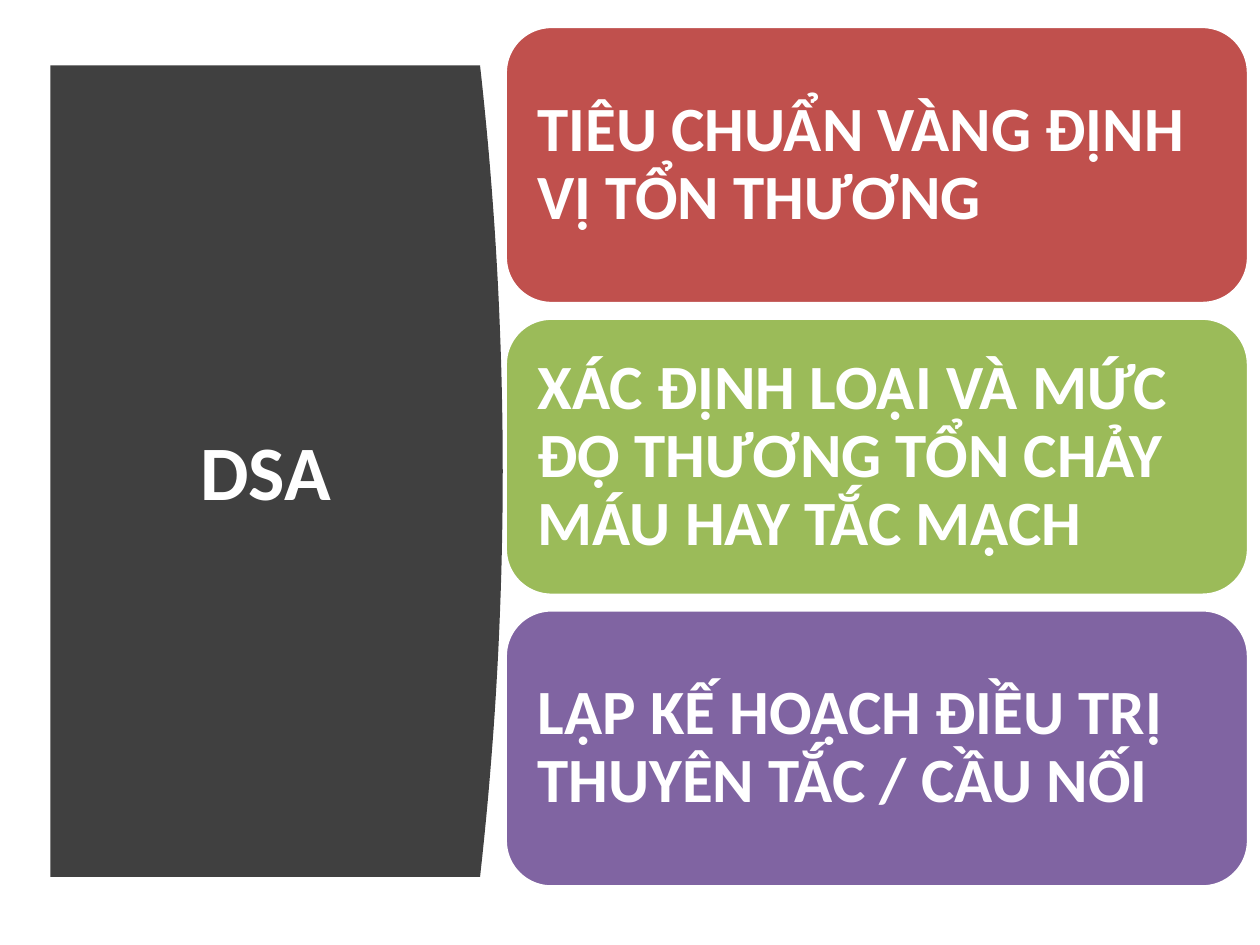
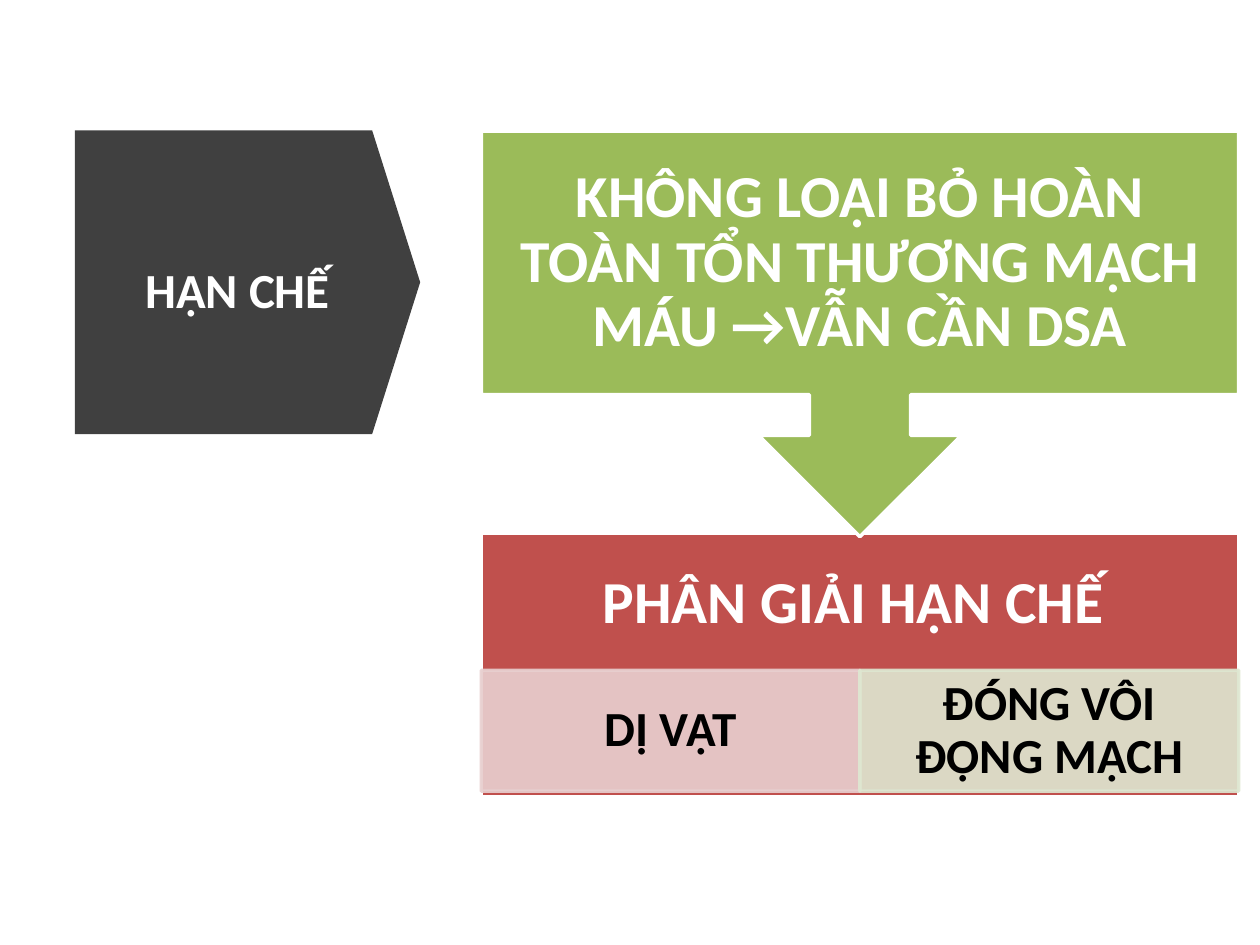
from dataclasses import dataclass

from lxml import etree
from pptx import Presentation
from pptx import util as u
from pptx.dml.color import RGBColor
from pptx.enum import shapes, text
from pptx.oxml.ns import qn


@dataclass(frozen=True)
class Theme:
    font: str = "Calibri"
    dark: str = "404040"
    white: str = "FFFFFF"
    black: str = "000000"
    red: str = "C0504D"
    green: str = "9BBB59"
    purple: str = "8064A2"
    pale_red: str = "E8D0D0"
    pale_green: str = "DEE7D1"
    title: int = 44
    point: int = 36
    box: int = 34
    small: int = 28
    outline: int = 2
    spacing: float = 0.9


T = Theme()
CENTER = text.PP_ALIGN.CENTER
LEFT = text.PP_ALIGN.LEFT


def set_all(obj, values):
    for name, value in values.items():
        setattr(obj, name, value)


def rgb(color):
    return RGBColor.from_string(color)


def write(sp, words, size, color=T.white, align=CENTER, insets=(0.1, 0.05, 0.1, 0.05), spacing=T.spacing):
    tf = sp.text_frame
    left, top, right, bottom = map(u.Inches, insets)
    set_all(tf, {
        "word_wrap": True,
        "auto_size": text.MSO_AUTO_SIZE.NONE,
        "vertical_anchor": text.MSO_ANCHOR.MIDDLE,
        "margin_left": left,
        "margin_top": top,
        "margin_right": right,
        "margin_bottom": bottom,
    })
    p = tf.paragraphs[0]
    set_all(p, {"alignment": align, "line_spacing": spacing})
    r = p.add_run()
    r.text = words
    set_all(r.font, {"name": T.font, "size": u.Pt(size), "bold": True})
    r.font.color.rgb = rgb(color)


def paint(sp, color, line=None, alpha=None):
    sp.shadow.inherit = False
    sp.fill.solid()
    sp.fill.fore_color.rgb = rgb(color)
    if line:
        sp.line.color.rgb = rgb(line)
        sp.line.width = u.Pt(T.outline)
    else:
        sp.line.fill.background()
    if alpha:
        for clr in sp._element.spPr.iter(qn("a:srgbClr")):
            etree.SubElement(clr, qn("a:alpha")).set("val", str(alpha * 1000))


def add_block(s, kind, at, color, line=T.white, alpha=None):
    sp = s.shapes.add_shape(kind, *map(u.Inches, at))
    paint(sp, color, line, alpha)
    return sp


def add_curved_panel(s, left, top, width, height, bulge, steps=40):
    edge = []
    for i in range(steps + 1):
        t = i / steps
        edge.append((left + width - bulge * (2 * t - 1) ** 2, top + height * t))
    fb = s.shapes.build_freeform(u.Inches(left), u.Inches(top), scale=1.0)
    points = edge + [(left, top + height)]
    fb.add_line_segments([(u.Inches(x), u.Inches(y)) for x, y in points], close=True)
    paint(fb.convert_to_shape(), T.dark)


def set_title(s, words, at, size):
    sp = s.shapes.title
    set_all(sp, dict(zip(("left", "top", "width", "height"), map(u.Inches, at))))
    write(sp, words, size, spacing=1.0)
    s.shapes._spTree.append(sp._element)


def build_dsa(s):
    add_curved_panel(s, 0.4, 0.52, 3.59, 6.44, bulge=0.18)
    set_title(s, "DSA", (0.71, 1.11, 2.8, 5.24), T.title)
    points = [
        ("TIÊU CHUẨN VÀNG ĐỊNH VỊ TỔN THƯƠNG", T.red),
        ("XÁC ĐỊNH LOẠI VÀ MỨC ĐỘ THƯƠNG TỔN CHẢY MÁU HAY TẮC MẠCH", T.green),
        ("LẬP KẾ HOẠCH ĐIỀU TRỊ THUYÊN TẮC / CẦU NỐI", T.purple),
    ]
    top, height, pitch = 0.21, 2.2, 2.315
    for i, (words, color) in enumerate(points):
        card = add_block(s, shapes.MSO_SHAPE.ROUNDED_RECTANGLE, (4.01, top + i * pitch, 5.9, height), color)
        write(card, words, T.point, align=LEFT, insets=(0.15,) * 4)


def build_limits(s):
    arrow = add_block(s, shapes.MSO_SHAPE.DOWN_ARROW, (0.76, 0.87, 2.41, 2.74), T.dark, line=None)
    arrow.rotation = 270
    arrow.adjustments[0], arrow.adjustments[1] = 1, 0.158
    set_title(s, "HẠN CHẾ", (0.79, 1.32, 2.19, 1.95), T.small)

    left, width, height, pad = 3.82, 6.01, 2.09, 0.26
    resolution = add_block(s, shapes.MSO_SHAPE.RECTANGLE, (left, 4.23, width, height), T.red)
    write(resolution, "PHÂN GIẢI HẠN CHẾ ", T.box, insets=(pad, pad, pad, pad + 0.96))

    causes = [("DỊ VẬT", T.pale_red), ("ĐÓNG VÔI ĐỘNG MẠCH", T.pale_green)]
    half = width / len(causes)
    for i, (words, color) in enumerate(causes):
        cell = add_block(s, shapes.MSO_SHAPE.RECTANGLE, (left + i * half, 5.32, half, 0.96), color, color, alpha=90)
        write(cell, words, T.small, T.black, insets=(0.22, 0.04, 0.22, 0.04))

    callout = add_block(s, shapes.MSO_SHAPE.UP_ARROW_CALLOUT, (left, 1.04, width, 3.22), T.green)
    callout.rotation = 180
    label = s.shapes.add_textbox(*map(u.Inches, (left, 1.04, width, height)))
    write(label, "KHÔNG LOẠI BỎ HOÀN TOÀN TỔN THƯƠNG MẠCH MÁU →VẪN CẦN DSA", T.box, insets=(pad,) * 4)


def main():
    prs = Presentation()
    set_all(prs, {"slide_width": u.Inches(10), "slide_height": u.Inches(7.5)})
    for build in (build_dsa, build_limits):
        build(prs.slides.add_slide(prs.slide_layouts[5]))
    prs.save("out.pptx")


if __name__ == "__main__":
    main()
